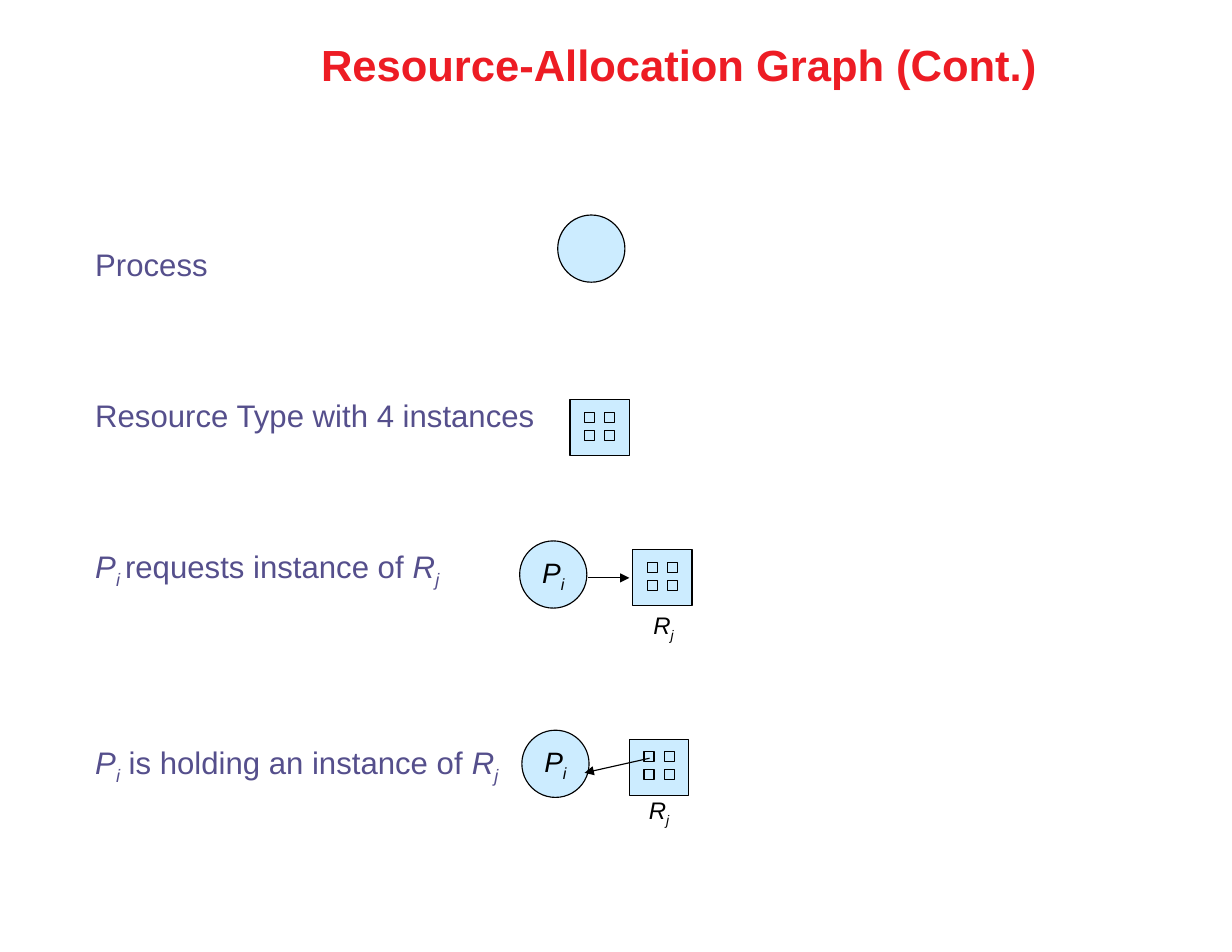
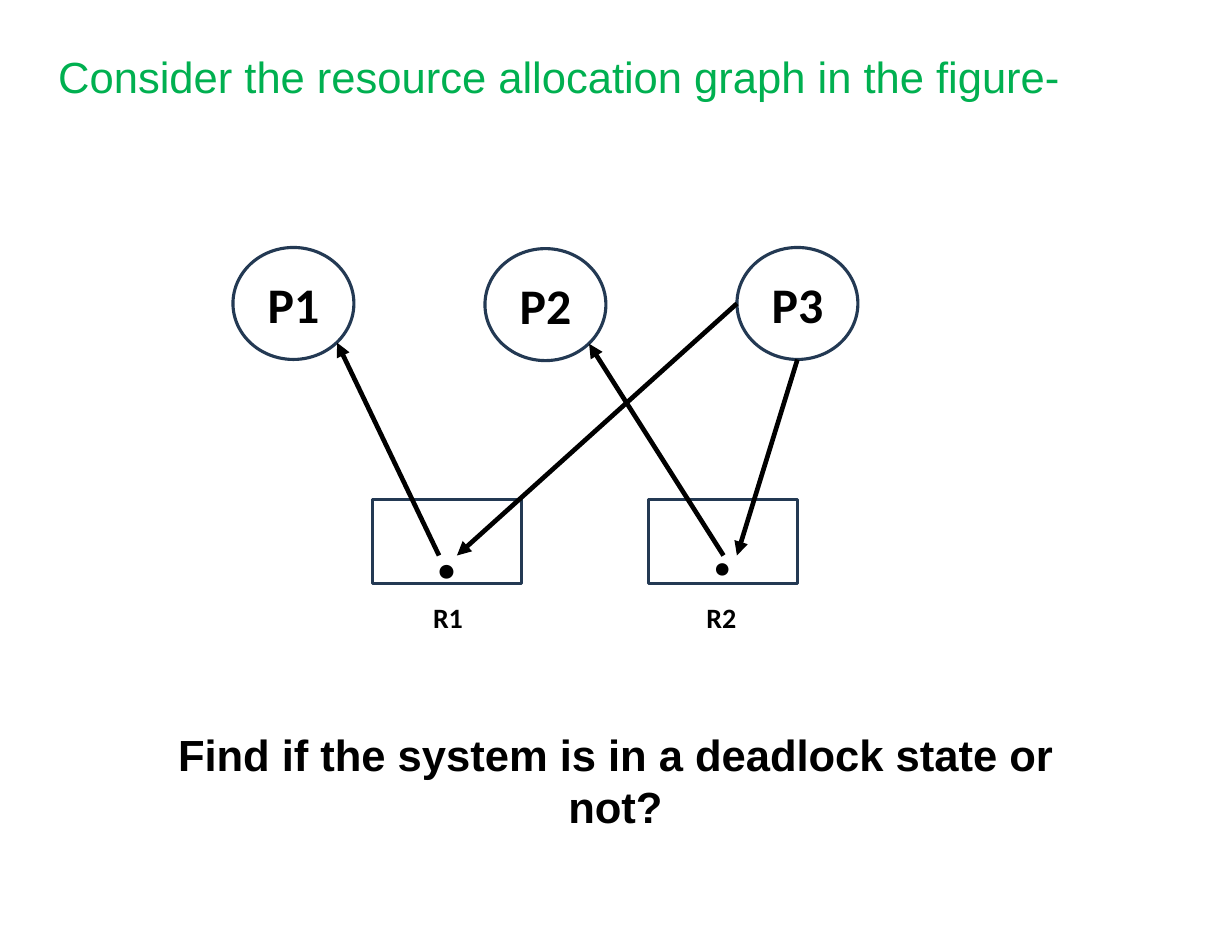
from lxml.etree import SubElement
from pptx import Presentation
from pptx.dml.color import RGBColor
from pptx.enum.shapes import MSO_CONNECTOR, MSO_SHAPE
from pptx.enum.text import MSO_ANCHOR, MSO_AUTO_SIZE, PP_ALIGN
from pptx.oxml.ns import qn
from pptx.util import Inches, Pt

RED = RGBColor(0xED, 0x1C, 0x24)
GREEN = RGBColor(0x00, 0xB0, 0x50)
PURPLE = RGBColor(0x55, 0x4F, 0x8C)
NAVY = RGBColor(0x23, 0x39, 0x53)
PALE_BLUE = RGBColor(0xCC, 0xEC, 0xFF)
BLACK = RGBColor(0, 0, 0)

# Character styles
PLAIN, ITALIC, SUBSCRIPT = "plain", "italic", "subscript"
P_I = [("P", ITALIC), ("i", SUBSCRIPT)]
R_J = [("R", ITALIC), ("j", SUBSCRIPT)]

# Slide 1: legend lines as (space before in points, runs)
LEGEND = [
    (0, [("Process", PLAIN)]),
    (73, [("Resource Type with 4 instances", PLAIN)]),
    (73, [("P", ITALIC), ("i ", SUBSCRIPT), ("requests instance of ", PLAIN)] + R_J),
    (99, P_I + [(" is holding an instance of ", PLAIN)] + R_J),
]
PROCESSES = [(4.98, 1.92, None), (4.66, 6.52, P_I), (4.64, 4.83, P_I)]
RESOURCES = [(5.09, 3.57), (5.65, 4.91), (5.62, 6.6)]
RESOURCE_LABELS = [(5.73, 5.42), (5.69, 7.07)]
LEGEND_ARROWS = [(5.25, 5.16, 5.62, 5.16), (5.8, 6.77, 5.22, 6.9)]

# Slide 2: graph nodes and edges
GRAPH_PROCESSES = [("P1", 2.08, 2.21), ("P2", 4.33, 2.22), ("P3", 6.58, 2.21)]
GRAPH_RESOURCES = [("R1", 3.33, 3.5, 60), ("R2", 5.79, 5.94, 54)]
GRAPH_ARROWS = [
    (3.92, 4.96, 3.01, 3.06),
    (6.46, 4.96, 5.26, 3.07),
    (6.58, 2.71, 4.08, 4.96),
    (7.12, 3.21, 6.58, 4.96),
]

# Text formats
LEGEND_FONT = {"name": "Arial", "size": Pt(20), "color": PURPLE}
PROCESS_FONT = {"name": "Arial", "size": Pt(18), "color": BLACK}
LABEL_FONT = {"name": "Arial", "size": Pt(15.4), "color": BLACK}
HEADING_FONT = {"name": "Arial", "size": Pt(28), "bold": True}
NODE_FONT = {"name": "Calibri", "bold": True, "color": BLACK}


def inches(*lengths):
    return [Inches(length) for length in lengths]


def write_runs(paragraph, runs, font, align=PP_ALIGN.CENTER):
    paragraph.alignment = align
    for text, style in runs:
        run = paragraph.add_run()
        run.text = text
        for name, value in font.items():
            if name == "color":
                run.font.color.rgb = value
            else:
                setattr(run.font, name, value)
        if style != PLAIN:
            run.font.italic = True
        if style == SUBSCRIPT:
            run.font._element.set("baseline", "-25000")


def set_frame(frame, inset=None, **settings):
    for name, value in settings.items():
        setattr(frame, name, value)
    if inset is not None:
        for side in ("left", "top", "right", "bottom"):
            setattr(frame, f"margin_{side}", Inches(inset))


def place(shape, box):
    for name, value in zip(("left", "top", "width", "height"), inches(*box)):
        setattr(shape, name, value)


def add_title(slide, text, box, font, align, inset=None):
    title = slide.shapes.title
    place(title, box)
    set_frame(title.text_frame, inset, word_wrap=True, auto_size=MSO_AUTO_SIZE.NONE,
              vertical_anchor=MSO_ANCHOR.TOP)
    write_runs(title.text_frame.paragraphs[0], [(text, PLAIN)], font, align)


def add_node(shapes, kind, box, line, line_width, fill=None, runs=None, font=None, wrap=True):
    node = shapes.add_shape(kind, *inches(*box))
    node.shadow.inherit = False
    if fill is None:
        node.fill.background()
    else:
        node.fill.solid()
        node.fill.fore_color.rgb = fill
    node.line.color.rgb = line
    node.line.width = Pt(line_width)
    if runs:
        set_frame(node.text_frame, word_wrap=wrap, vertical_anchor=MSO_ANCHOR.MIDDLE)
        write_runs(node.text_frame.paragraphs[0], runs, font)


def add_label(slide, box, runs, font, wrap=True, anchor=MSO_ANCHOR.TOP):
    label = slide.shapes.add_textbox(*inches(*box))
    set_frame(label.text_frame, word_wrap=wrap, vertical_anchor=anchor)
    write_runs(label.text_frame.paragraphs[0], runs, font)


def add_arrow(slide, ends, width):
    arrow = slide.shapes.add_connector(MSO_CONNECTOR.STRAIGHT, *inches(*ends))
    arrow.line.color.rgb = BLACK
    arrow.line.width = Pt(width)
    SubElement(arrow.line._get_or_add_ln(), qn("a:tailEnd"), type="triangle")
    SubElement(arrow._element.spPr, qn("a:effectLst"))


def add_resource(slide, left, top):
    """Draw a resource type with its 2 x 2 instances as one group."""
    shapes = slide.shapes.add_group_shape().shapes
    style = (BLACK, 0.75, PALE_BLUE)
    add_node(shapes, MSO_SHAPE.RECTANGLE, (left, top, 0.53, 0.5), *style)
    for row in range(2):
        for column in range(2):
            box = (left + 0.13 + 0.18 * column, top + 0.11 + 0.16 * row, 0.09, 0.09)
            add_node(shapes, MSO_SHAPE.RECTANGLE, box, *style)


def add_legend(slide):
    body = slide.placeholders[1]
    place(body, (0.85, 1.49, 9.05, 5.39))
    frame = body.text_frame
    set_frame(frame, 0, word_wrap=True, auto_size=MSO_AUTO_SIZE.NONE,
              vertical_anchor=MSO_ANCHOR.TOP)
    frame.margin_top = Inches(0.7)
    for index, (space, runs) in enumerate(LEGEND):
        paragraph = frame.add_paragraph() if index else frame.paragraphs[0]
        paragraph.space_before = Pt(space)
        properties = paragraph._p.get_or_add_pPr()
        properties.set("marL", "0")
        properties.set("indent", "0")
        SubElement(properties, qn("a:buNone"))
        write_runs(paragraph, runs, LEGEND_FONT, PP_ALIGN.LEFT)


def build_legend_slide(presentation):
    slide = presentation.slides.add_slide(presentation.slide_layouts[1])
    add_title(slide, "Resource-Allocation Graph (Cont.)", (1.36, 0.34, 9.4, 0.47),
              HEADING_FONT | {"color": RED}, PP_ALIGN.CENTER, inset=0)
    add_legend(slide)
    for left, top, runs in PROCESSES:
        add_node(slide.shapes, MSO_SHAPE.OVAL, (left, top, 0.6, 0.6), BLACK, 0.75,
                 PALE_BLUE, runs, PROCESS_FONT, wrap=False)
    for left, top in RESOURCES:
        add_resource(slide, left, top)
    for ends in LEGEND_ARROWS:
        add_arrow(slide, ends, 0.75)
    for left, top in RESOURCE_LABELS:
        add_label(slide, (left, top, 0.39, 0.36), R_J, LABEL_FONT, False, MSO_ANCHOR.MIDDLE)


def build_graph_slide(presentation):
    slide = presentation.slides.add_slide(presentation.slide_layouts[5])
    add_title(slide, "Consider the resource allocation graph in the figure-",
              (0.42, 0.4, 10.58, 0.57),
              HEADING_FONT | {"bold": False, "color": GREEN}, PP_ALIGN.LEFT)
    # Processes, then resources with their single instance dot
    for name, left, top in GRAPH_PROCESSES:
        add_node(slide.shapes, MSO_SHAPE.OVAL, (left, top, 1.08, 1), NAVY, 2,
                 runs=[(name, PLAIN)], font=NODE_FONT | {"size": Pt(32)})
    for name, left, label_left, dot_size in GRAPH_RESOURCES:
        add_node(slide.shapes, MSO_SHAPE.RECTANGLE, (left, 4.46, 1.33, 0.75), NAVY, 2,
                 runs=[(".", PLAIN)], font=NODE_FONT | {"size": Pt(dot_size)})
        add_label(slide, (label_left, 5.31, 1, 0.42), [(name, PLAIN)],
                  NODE_FONT | {"size": Pt(18)})
    for ends in GRAPH_ARROWS:
        add_arrow(slide, ends, 3)
    # Question
    add_label(slide, (1.22, 6.45, 8.55, 0.57),
              [("Find if the system is in a deadlock state or not?", PLAIN)],
              HEADING_FONT | {"color": BLACK})


def main():
    presentation = Presentation()
    presentation.slide_width, presentation.slide_height = inches(11, 8.5)
    build_legend_slide(presentation)
    build_graph_slide(presentation)
    presentation.save("out.pptx")


if __name__ == "__main__":
    main()
